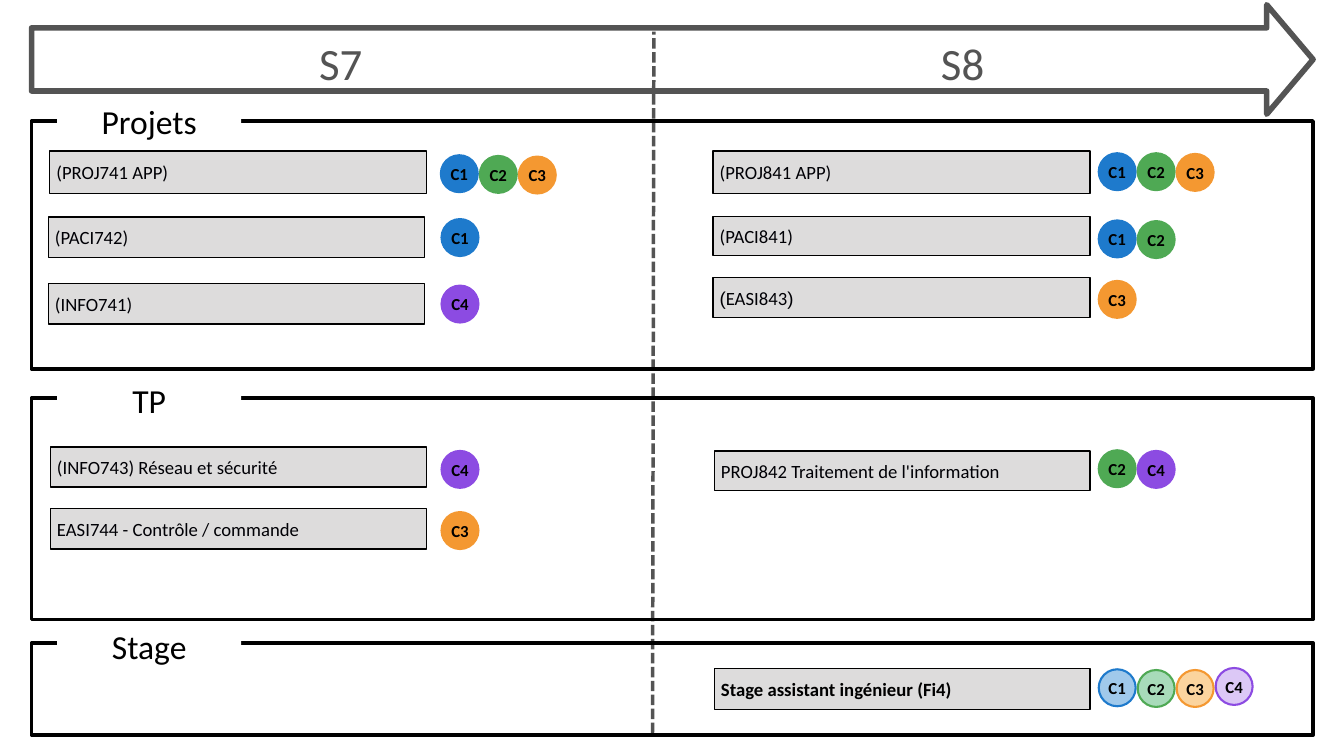
import pptx
import pptx.util
from lxml import etree
from pptx.dml.color import RGBColor
from pptx.enum.dml import MSO_LINE
from pptx.enum.shapes import MSO_CONNECTOR, MSO_SHAPE
from pptx.enum.text import MSO_ANCHOR, MSO_AUTO_SIZE, PP_ALIGN
from pptx.oxml.ns import qn
from pptx.util import Inches, Pt

GREY, BLACK, INK, WHITE, BAR = "545454", "000000", "000005", "FFFFFF", "DDDCDC"

# name, left, width
SEMESTERS = [("S7", 0.5, 9.14), ("S8", 9.81, 9.03)]

# name, top, height, anchor of the name
SECTIONS = [
    ("Projets", 1.8, 3.69, MSO_ANCHOR.MIDDLE),
    ("TP", 5.92, 3.3, MSO_ANCHOR.TOP),
    ("Stage", 9.57, 1.37, MSO_ANCHOR.TOP),
]

# skill: (fill, line)
SKILLS = {
    "C1": ("1E7ACC", "1E7ACC"),
    "C2": ("4FA954", "4FA954"),
    "C3": ("F49831", "F49831"),
    "C4": ("8C4BE2", "8C4BE2"),
}
PALE_SKILLS = {
    "C1": ("A0C9EB", "1E7ACC"),
    "C2": ("A8DBBA", "4FA954"),
    "C3": ("FBD49E", "F49831"),
    "C4": ("8C4BE2", "8C4BE2"),
}

# (text, font) spans, left, top, right, height, left and tops of the skills
COURSES = [
    ([("(PROJ741 APP)", "Calibri")], 0.74, 2.25, 6.35, 0.63,
     6.56, {"C1": 2.31, "C2": 2.32, "C3": 2.33}),
    ([("(PACI742)", "Calibri")], 0.72, 3.23, 6.32, 0.6, 6.57, {"C1": 3.26}),
    ([("(INFO741)", "Calibri")], 0.72, 4.22, 6.32, 0.6, 6.57, {"C4": 4.25}),
    ([("(PROJ841 APP)", "Calibri")], 10.61, 2.25, 16.22, 0.63,
     16.35, {"C1": 2.28, "C2": 2.28, "C3": 2.29}),
    ([("(PACI841)", "Calibri")], 10.61, 3.22, 16.22, 0.58,
     16.35, {"C1": 3.28, "C2": 3.29}),
    ([("(", "Arial"), ("EASI843", "Calibri"), (")", "Arial")], 10.61, 4.13, 16.22, 0.6,
     16.35, {"C3": 4.18}),
    ([("(INFO743) Réseau et sécurité", "Calibri")], 0.75, 6.65, 6.35, 0.6,
     6.57, {"C4": 6.71}),
    ([("EASI744 - Contrôle / commande", "Calibri")], 0.75, 7.57, 6.35, 0.6,
     6.57, {"C3": 7.62}),
    ([("PROJ842 Traitement de l'information", "Calibri")], 10.63, 6.71, 16.22, 0.59,
     16.35, {"C2": 6.7, "C4": 6.71}),
]
INTERNSHIP = ([("Stage assistant ingénieur (Fi4)", "Calibri")], 10.63, 9.95, 16.22, 0.61,
              16.35, {"C1": 9.96, "C2": 9.97, "C3": 9.97, "C4": 9.94})
SKILL_SIZE, SKILL_STEP = 0.55, 0.58


def rgb(value):
    return RGBColor.from_string(value)


def write(box, text, size, color=BLACK, bold=False, align=PP_ALIGN.CENTER,
          anchor=MSO_ANCHOR.MIDDLE, inset=None, spacing=None):
    """Fill a shape with a string or a list of (text, font) spans."""
    frame = box.text_frame
    frame.word_wrap = True
    frame.vertical_anchor = anchor
    if inset is not None:
        frame.margin_left = frame.margin_right = Inches(inset)
        frame.margin_top = frame.margin_bottom = Inches(inset)
    para = frame.paragraphs[0]
    para.alignment = align
    if spacing:
        para.line_spacing = Pt(spacing)
    spans = [(text, "Calibri")] if isinstance(text, str) else text
    for words, font in spans:
        span = para.add_run()
        span.text = words
        span.font.name = font
        span.font.size = Pt(size)
        span.font.bold = bold
        span.font.color.rgb = rgb(color)


def add_box(page, kind, left, top, width, height, fill=None, line=None, weight=1.5):
    box = page.shapes.add_shape(kind, Inches(left), Inches(top), Inches(width), Inches(height))
    box.shadow.inherit = False
    if fill:
        box.fill.solid()
        box.fill.fore_color.rgb = rgb(fill)
    else:
        box.fill.background()
    if line:
        box.line.color.rgb = rgb(line)
        box.line.width = Pt(weight)
    else:
        box.line.fill.background()
    return box


def set_opacity(box, percent):
    color = box.fill._xPr.find(qn("a:solidFill"))[0]
    etree.SubElement(color, qn("a:alpha")).set("val", str(percent * 1000))


def add_timeline(page):
    length, height, shaft, head = 19.07, 1.63, 0.94, 0.69
    arrow = add_box(page, MSO_SHAPE.RIGHT_ARROW, 0.47, 0.07, length, height, line=GREY, weight=6)
    arrow.adjustments[0] = shaft / height
    arrow.adjustments[1] = head / height

    divider = page.shapes.add_connector(
        MSO_CONNECTOR.STRAIGHT, Inches(9.71), Inches(10.91), Inches(9.73), Inches(0.47))
    divider.line.color.rgb = rgb(GREY)
    divider.line.width = Pt(3.75)
    divider.line.dash_style = MSO_LINE.SQUARE_DOT
    etree.SubElement(divider._element.spPr, qn("a:effectLst"))

    for name, left, width in SEMESTERS:
        box = page.shapes.add_textbox(Inches(left), Inches(0.46), Inches(width), Inches(0.83))
        write(box, name, 48, GREY, anchor=MSO_ANCHOR.TOP, inset=0, spacing=62.4)
        box.text_frame.auto_size = MSO_AUTO_SIZE.SHAPE_TO_FIT_TEXT


def add_section(page, name, top, height, anchor):
    add_box(page, MSO_SHAPE.RECTANGLE, 0.47, top, 19.07, height, line=BLACK, weight=3.75)
    label = add_box(page, MSO_SHAPE.RECTANGLE, 0.85, top - 0.31, 2.74, 0.61, fill=WHITE)
    write(label, name, 36, anchor=anchor)


def add_course(page, spans, left, top, right, height, skill_left, skill_tops,
               color=INK, bold=False, palette=SKILLS):
    """Add a course bar with its skill circles; return the circles by skill."""
    bar = add_box(page, MSO_SHAPE.RECTANGLE, left, top, right - left, height, BAR, BLACK)
    write(bar, spans, 20, color, bold, PP_ALIGN.LEFT)
    circles = {}
    for index, (skill, skill_top) in enumerate(skill_tops.items()):
        fill, line = palette[skill]
        circle = add_box(page, MSO_SHAPE.OVAL, skill_left + index * SKILL_STEP, skill_top,
                         SKILL_SIZE, SKILL_SIZE, fill, line, 2.25)
        write(circle, skill, 18, bold=True, inset=0)
        circles[skill] = circle
    return circles


def main():
    deck = pptx.Presentation()
    deck.slide_width, deck.slide_height = Inches(20), Inches(11.25)
    page = deck.slides.add_slide(deck.slide_layouts[6])
    add_timeline(page)
    for section in SECTIONS:
        add_section(page, *section)
    for course in COURSES:
        add_course(page, *course)
    circles = add_course(page, *INTERNSHIP, color=BLACK, bold=True, palette=PALE_SKILLS)
    set_opacity(circles["C4"], 30)
    deck.save("out.pptx")


if __name__ == "__main__":
    main()
